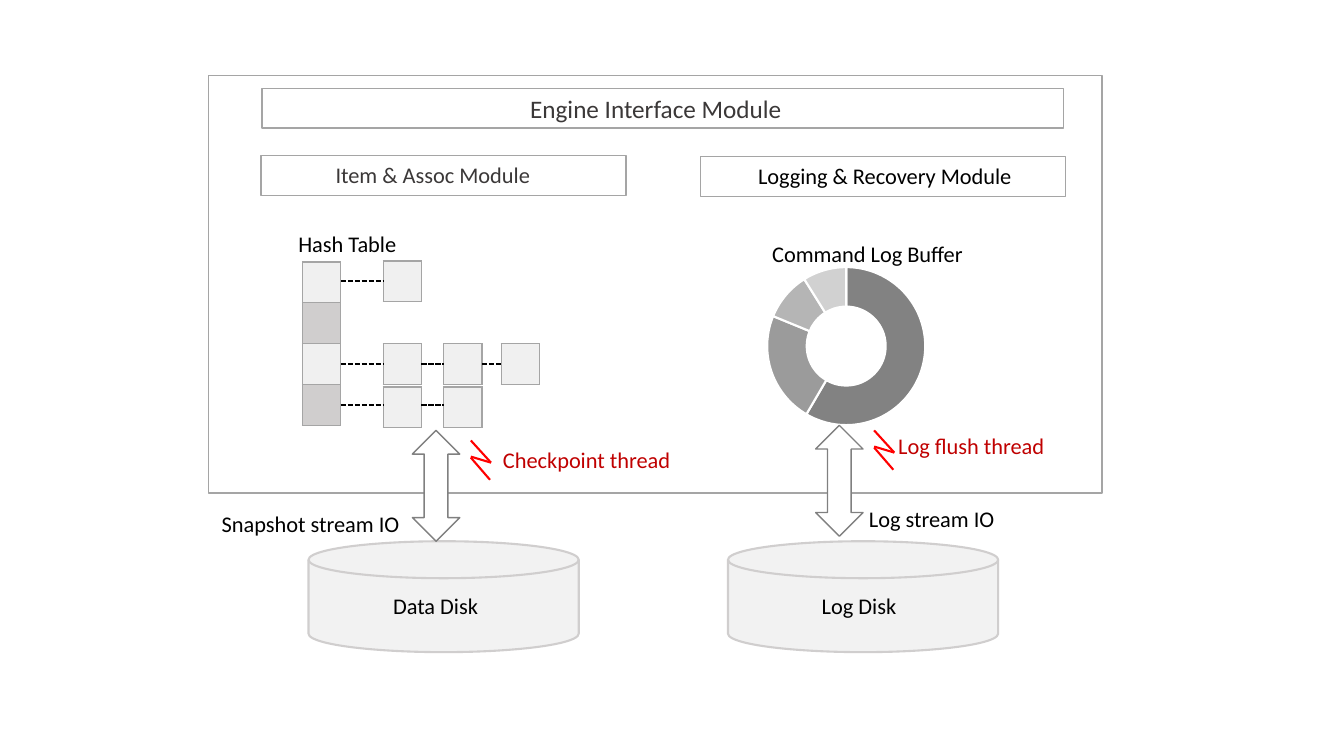
from lxml.etree import SubElement
from pptx import Presentation
from pptx.chart.data import CategoryChartData
from pptx.dml.color import RGBColor
from pptx.enum.chart import XL_CHART_TYPE
from pptx.enum.dml import MSO_LINE
from pptx.enum.shapes import MSO_CONNECTOR, MSO_SHAPE
from pptx.enum.text import MSO_AUTO_SIZE, PP_ALIGN
from pptx.oxml import parse_xml
from pptx.oxml.ns import nsdecls, qn
from pptx.util import Inches, Pt

BLACK = RGBColor(0x00, 0x00, 0x00)
WHITE = RGBColor(0xFF, 0xFF, 0xFF)
INK = RGBColor(0x3B, 0x38, 0x38)
EDGE = RGBColor(0xA5, 0xA5, 0xA5)
GRAY = RGBColor(0x80, 0x80, 0x80)
DISK = RGBColor(0xF2, 0xF2, 0xF2)
RIM = RGBColor(0xD0, 0xCE, 0xCE)
CELL = RGBColor(0xF0, 0xF0, 0xF0)
RED = RGBColor(0xFF, 0x00, 0x00)
CRIMSON = RGBColor(0xC0, 0x00, 0x00)
RING = [RGBColor(v, v, v) for v in (0x82, 0x9B, 0xB5, 0xD1)]
SIDE = 0.38
STEP = 0.405


def assign(target, values):
    for name, value in values.items():
        setattr(target, name, value)


class Canvas:
    font = "Calibri"
    frame = {"word_wrap": True, "auto_size": MSO_AUTO_SIZE.SHAPE_TO_FIT_TEXT}
    margins = dict.fromkeys(
        ("margin_left", "margin_right", "margin_top", "margin_bottom"), 0)

    def __init__(self, slide):
        self.shapes = slide.shapes

    def shape(self, kind, box, fill=WHITE, edge=EDGE, width=1):
        item = self.shapes.add_shape(kind, *map(Inches, box))
        item.shadow.inherit = False
        if fill is None:
            item.fill.background()
        else:
            item.fill.solid()
            item.fill.fore_color.rgb = fill
        item.line.color.rgb = edge
        item.line.width = Pt(width)

    def text(self, words, x, y, w, color=BLACK, size=16, align=PP_ALIGN.LEFT):
        box = self.shapes.add_textbox(*map(Inches, (x, y, w, 0.37)))
        assign(box.text_frame, self.frame)
        para = box.text_frame.paragraphs[0]
        para.alignment = align
        run = para.add_run()
        run.text = words
        assign(run.font, {"name": self.font, "size": Pt(size)})
        run.font.color.rgb = color

    def line(self, start, end, color=BLACK, width=1.25, dash=None):
        item = self.shapes.add_connector(
            MSO_CONNECTOR.STRAIGHT, *map(Inches, (*start, *end)))
        item.line.color.rgb = color
        assign(item.line, {"width": Pt(width), "dash_style": dash})
        SubElement(item._element.spPr, qn("a:effectLst"))

    def table(self, x, y, fills):
        rows = len(fills)
        grid = self.shapes.add_table(
            rows, 1, *map(Inches, (x, y, SIDE, STEP * rows))).table
        assign(grid, {"first_row": False, "horz_banding": False})
        for row, fill in enumerate(fills):
            cell = grid.cell(row, 0)
            assign(cell, self.margins)
            props = cell._tc.get_or_add_tcPr()
            for side in "LRTB":
                props.append(parse_xml(
                    f'<a:ln{side} {nsdecls("a")} w="{Pt(1)}"><a:solidFill>'
                    f'<a:srgbClr val="{EDGE}"/></a:solidFill></a:ln{side}>'))
            cell.fill.solid()
            cell.fill.fore_color.rgb = fill

    def ring(self, box, values, colors, hole, plot):
        data = CategoryChartData()
        data.categories = [str(n + 1) for n in range(len(values))]
        data.add_series("Series 1", values)
        chart = self.shapes.add_chart(
            XL_CHART_TYPE.DOUGHNUT, *map(Inches, box), data).chart
        assign(chart, {"has_legend": False, "has_title": False})
        assign(chart.font, {"name": "Noto Sans CJK KR", "size": Pt(10)})
        chart.font.color.rgb = BLACK
        chart.plots[0].vary_by_categories = True
        for n, color in enumerate(colors):
            style = chart.plots[0].series[0].points[n].format
            style.fill.solid()
            style.fill.fore_color.rgb = color
            style.line.color.rgb = WHITE
            style.line.width = Pt(1.5)
        area = chart._chartSpace.find(".//" + qn("c:plotArea"))
        area.find(".//" + qn("c:holeSize")).set("val", str(hole))
        for old in area.findall(qn("c:layout")):
            area.remove(old)
        parts = [("layoutTarget", "inner"), ("xMode", "edge"), ("yMode", "edge")]
        parts += zip("xywh", plot)
        inner = "".join(f'<c:{tag} val="{val}"/>' for tag, val in parts)
        area.insert(0, parse_xml(
            f'<c:layout {nsdecls("c")}><c:manualLayout>{inner}'
            '</c:manualLayout></c:layout>'))

    def bolt(self, x, y):
        for start, end in (((0, 0), (0.2, 0.22)), ((0, 0.17), (0.19, 0.39)),
                           ((0, 0.16), (0.2, 0.22))):
            self.line((x + start[0], y + start[1]),
                      (x + end[0], y + end[1]), RED, 1.5)


deck = Presentation()
deck.slide_width, deck.slide_height = Inches(13.33), Inches(7.5)
page = Canvas(deck.slides.add_slide(deck.slide_layouts[6]))

page.bolt(8.67, 4.27)
page.bolt(4.67, 4.37)
for name, left, label in (("Data Disk", 3.06, 3.65), ("Log Disk", 7.22, 7.85)):
    page.shape(MSO_SHAPE.FLOWCHART_MAGNETIC_DISK,
               (left, 5.37, 2.68, 1.1), DISK, RIM, 1.5)
    page.text(name, label, 5.83, 1.34, align=PP_ALIGN.CENTER)

page.shape(MSO_SHAPE.RECTANGLE, (2.07, 0.75, 8.86, 4.14), None)
for box in ((2.6, 0.88, 7.95, 0.39), (2.59, 1.54, 3.62, 0.4),
            (6.95, 1.55, 3.62, 0.4)):
    page.shape(MSO_SHAPE.FLOWCHART_PROCESS, box)
page.text("Engine Interface Module", 5.16, 0.88, 3.54, INK, 18)

for label in (
    ("Item & Assoc Module", 3.23, 1.55, 2.37, INK),
    ("Logging & Recovery Module", 7.42, 1.56, 2.84),
    ("Hash Table", 2.86, 2.23, 3.12),
    ("Command Log Buffer", 7.56, 2.33, 2.19),
    ("Checkpoint thread", 4.89, 4.38, 1.93, CRIMSON),
    ("Log flush thread", 8.81, 4.24, 2.02, CRIMSON),
    ("Snapshot stream IO", 2.1, 5.01, 2.25),
    ("Log stream IO", 8.52, 4.96, 2.02),
):
    page.text(*label)

page.table(3, 2.6, [CELL, RIM] * 2)
for top, lefts in ((2.59, [3.8]), (3.41, [3.8, 4.4, 4.97]),
                   (3.84, [3.8, 4.4])):
    mid = min(top + 0.2, 4.02)
    for prior, left in zip([3, *lefts], lefts):
        page.table(left, top, [CELL])
        page.line((prior + SIDE, mid), (left, mid), dash=MSO_LINE.SQUARE_DOT)

page.ring((6.69, 1.98, 3.43, 2.76), (59, 23, 10, 9), RING, 75,
          (0.268, 0.243, 0.457, 0.568))
for left, top in ((4.09, 4.27), (8.09, 4.22)):
    page.shape(MSO_SHAPE.UP_DOWN_ARROW, (left, top, 0.47, 1.1), edge=GRAY)

deck.save("out.pptx")
